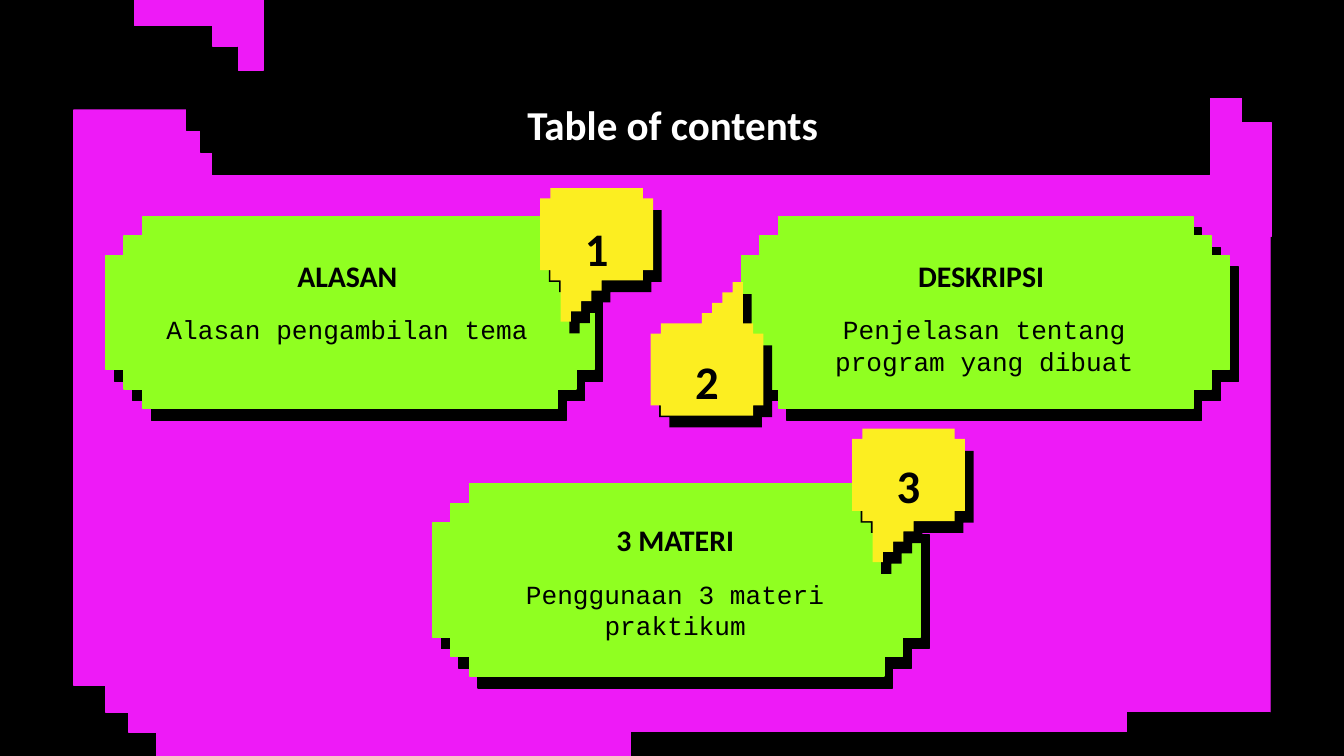
from dataclasses import dataclass

from pptx import Presentation
from pptx.dml.color import RGBColor
from pptx.enum.shapes import MSO_SHAPE
from pptx.enum.text import MSO_ANCHOR, MSO_AUTO_SIZE, PP_ALIGN
from pptx.shapes.autoshape import Shape
from pptx.slide import Slide
from pptx.util import Pt

COLORS = {
    "black": "000000",
    "white": "FFFFFF",
    "magenta": "EE1AF7",
    "green": "90FF21",
    "yellow": "FCEE21",
}
SHADOW_X, SHADOW_Y = 4.6, 6.3

# Backdrop blocks: left, top, width, height
STAIR_WIDTH, STAIR_HEIGHT = 17.3, 61.2
STAIRS = [(39.6, 306), (56.9, 320.4), (69.1, 331.2), (84.2, 344.2),
          (648, 52.6), (663.8, 65.5)]
BLACK_BLOCKS = [(338.4, 392.4, 266.4, 12.6), (604.1, 381.6, 76.3, 23.4),
                (113.8, 24.5, 534.2, 69.1), (107.3, 24.5, 7.2, 56.9),
                (100.1, 24.5, 7.2, 45.4)]
TOP_BLOCKS = [(72, 0, 42.5, 13.7), (114.1, 0, 13, 24.8), (127.8, 0, 13, 37.8)]

# Panel rows: inset on both sides, top, height
PANEL_WIDTH = 261.4
PANEL_ROWS = [(19.6, 0, 10.5), (9.6, 10.5, 10.5), (0, 20.9, 61.2),
              (9.6, 82.1, 10.5), (19.6, 92.6, 10.5)]

# Speech bubble outline in pixel cells
CELL = 5.5
BUBBLE_OUTLINE = [(10, 0), (10, 1), (11, 1), (11, 8), (10, 8), (10, 9), (6, 9),
                  (6, 10), (5, 10), (5, 11), (4, 11), (4, 12), (3, 12), (3, 13),
                  (2, 13), (2, 9), (1, 9), (1, 8), (0, 8), (0, 1), (1, 1), (1, 0)]


@dataclass
class Card:
    heading: str
    caption: str
    left: float
    top: float
    text_left: float
    text_top: float
    text_width: float


@dataclass
class Bubble:
    number: str
    left: float
    top: float
    text_top: float
    rotation: float = 0


CARDS = [
    Card("ALASAN", "Alasan pengambilan tema", 56.9, 115.9, 72, 122.4, 228.2),
    Card("DESKRIPSI ", "Penjelasan tentang program yang dibuat",
         397.4, 115.9, 414, 122.4, 226.8),
    Card("3 MATERI", "Penggunaan 3 materi praktikum",
         231.8, 259.2, 247.7, 264.2, 228.2),
]
BUBBLES = [
    Bubble("1", 289.4, 100.8, 108),
    Bubble("2", 348.5, 151.2, 179.3, 180),
    Bubble("3", 456.5, 229.7, 235.4),
]


def rgb(color: str) -> RGBColor:
    return RGBColor.from_string(COLORS[color])


def add_block(slide: Slide, color: str, left: float, top: float, width: float,
              height: float, kind: MSO_SHAPE = MSO_SHAPE.RECTANGLE) -> Shape:
    shape = slide.shapes.add_shape(kind, Pt(left), Pt(top), Pt(width), Pt(height))
    shape.shadow.inherit = False
    shape.fill.solid()
    shape.fill.fore_color.rgb = rgb(color)
    shape.line.color.rgb = rgb(color)
    shape.line.width = Pt(0.75)
    return shape


def write_text(shape: Shape, text: str, size: float, color: str = "black",
               font: str = "Calibri", bold: bool = True,
               anchor: MSO_ANCHOR = MSO_ANCHOR.BOTTOM) -> None:
    frame = shape.text_frame
    frame.text = text
    frame.word_wrap = True
    frame.auto_size = MSO_AUTO_SIZE.NONE
    frame.vertical_anchor = anchor
    frame.margin_left = frame.margin_right = Pt(7.2)
    frame.margin_top = frame.margin_bottom = Pt(7.2)
    paragraph = frame.paragraphs[0]
    paragraph.alignment = PP_ALIGN.CENTER
    paragraph.font.name = font
    paragraph.font.size = Pt(size)
    paragraph.font.bold = bold
    paragraph.font.color.rgb = rgb(color)


def add_text_box(slide: Slide, left: float, top: float, width: float,
                 height: float) -> Shape:
    return slide.shapes.add_textbox(Pt(left), Pt(top), Pt(width), Pt(height))


def draw_backdrop(slide: Slide) -> None:
    window = add_block(slide, "magenta", 39.6, 59, 640.8, 345.6,
                       MSO_SHAPE.SNIP_2_DIAG_RECTANGLE)
    window.adjustments[0] = 0
    window.adjustments[1] = 0.167
    for left, top in STAIRS:
        add_block(slide, "magenta", left, top, STAIR_WIDTH, STAIR_HEIGHT)
    for block in BLACK_BLOCKS:
        add_block(slide, "black", *block)
    for block in TOP_BLOCKS:
        add_block(slide, "magenta", *block)


def draw_card(slide: Slide, card: Card) -> None:
    for color, shift_x, shift_y in (("black", SHADOW_X, SHADOW_Y), ("green", 0, 0)):
        for inset, top, height in PANEL_ROWS:
            add_block(slide, color, card.left + inset + shift_x,
                      card.top + top + shift_y, PANEL_WIDTH - 2 * inset, height)
    heading = add_text_box(slide, card.text_left, card.text_top, card.text_width, 41.8)
    write_text(heading, card.heading, 16)
    caption = add_text_box(slide, card.text_left, card.text_top + 38.5,
                           card.text_width, 44.6)
    write_text(caption, card.caption, 14, font="Courier New", bold=False,
               anchor=MSO_ANCHOR.TOP)


def draw_bubble(slide: Slide, bubble: Bubble) -> None:
    for color, shift_x, shift_y in (("black", SHADOW_X, SHADOW_Y), ("yellow", 0, 0)):
        builder = slide.shapes.build_freeform(*BUBBLE_OUTLINE[0], scale=Pt(CELL))
        builder.add_line_segments(BUBBLE_OUTLINE[1:], close=True)
        shape = builder.convert_to_shape(Pt(bubble.left + shift_x),
                                         Pt(bubble.top + shift_y))
        shape.rotation = bubble.rotation
        shape.shadow.inherit = False
        shape.fill.solid()
        shape.fill.fore_color.rgb = rgb(color)
        shape.line.fill.background()
    number = add_text_box(slide, bubble.left, bubble.text_top, 11 * CELL, 46.8)
    write_text(number, bubble.number, 25)


def place_title(slide: Slide, text: str) -> None:
    title = slide.shapes.title
    title.left, title.top = Pt(56.9), Pt(42.5)
    title.width, title.height = Pt(607), Pt(44.6)
    write_text(title, text, 22, color="white")
    # Bring the title in front of the backdrop
    title.element.getparent().append(title.element)


def main() -> None:
    presentation = Presentation()
    presentation.slide_width, presentation.slide_height = Pt(720), Pt(405)
    slide = presentation.slides.add_slide(presentation.slide_layouts.get_by_name("Title Only"))
    slide.background.fill.solid()
    slide.background.fill.fore_color.rgb = rgb("black")

    draw_backdrop(slide)
    place_title(slide, "Table of contents")
    for card in CARDS:
        draw_card(slide, card)
    for bubble in BUBBLES:
        draw_bubble(slide, bubble)

    presentation.save("out.pptx")


if __name__ == "__main__":
    main()
